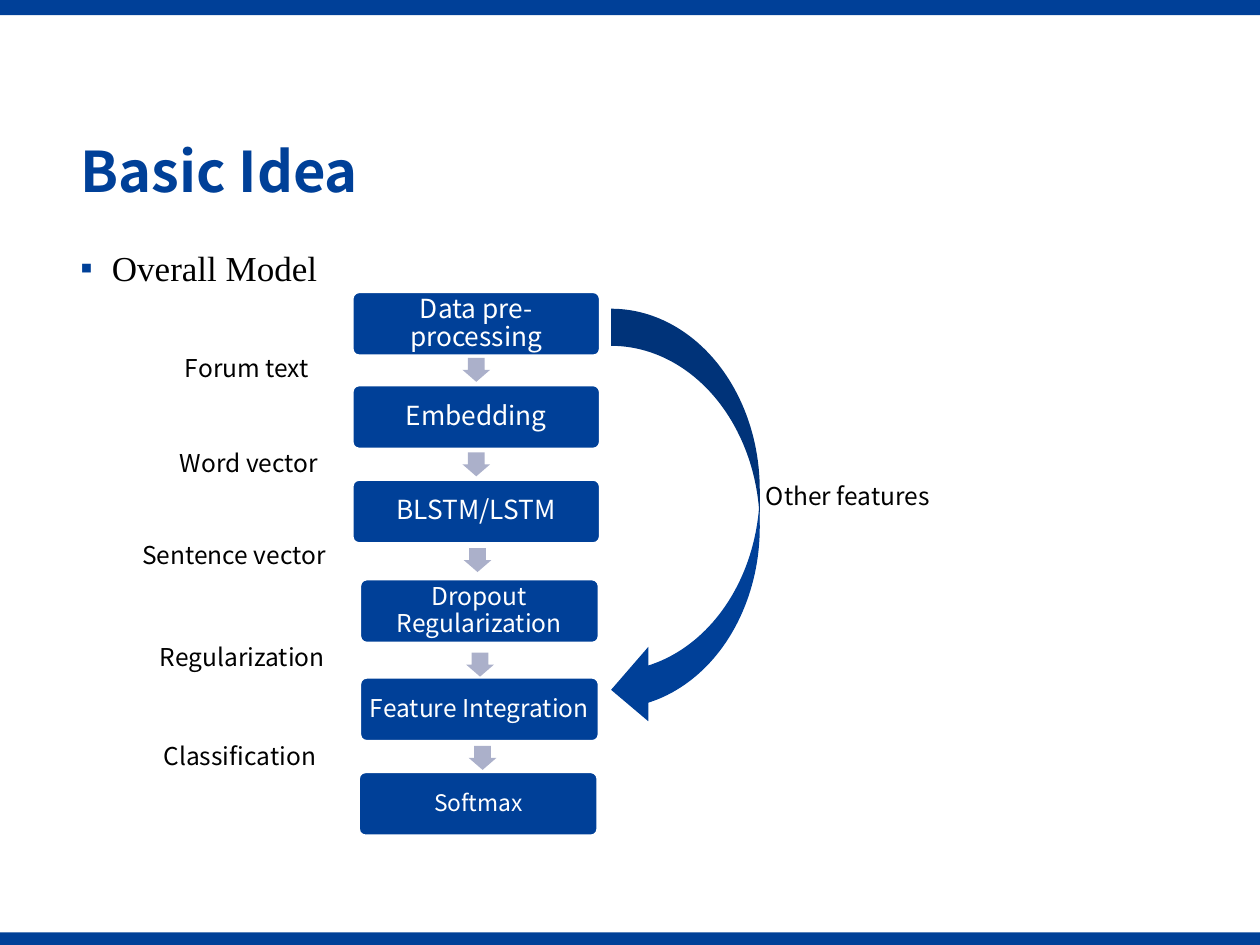
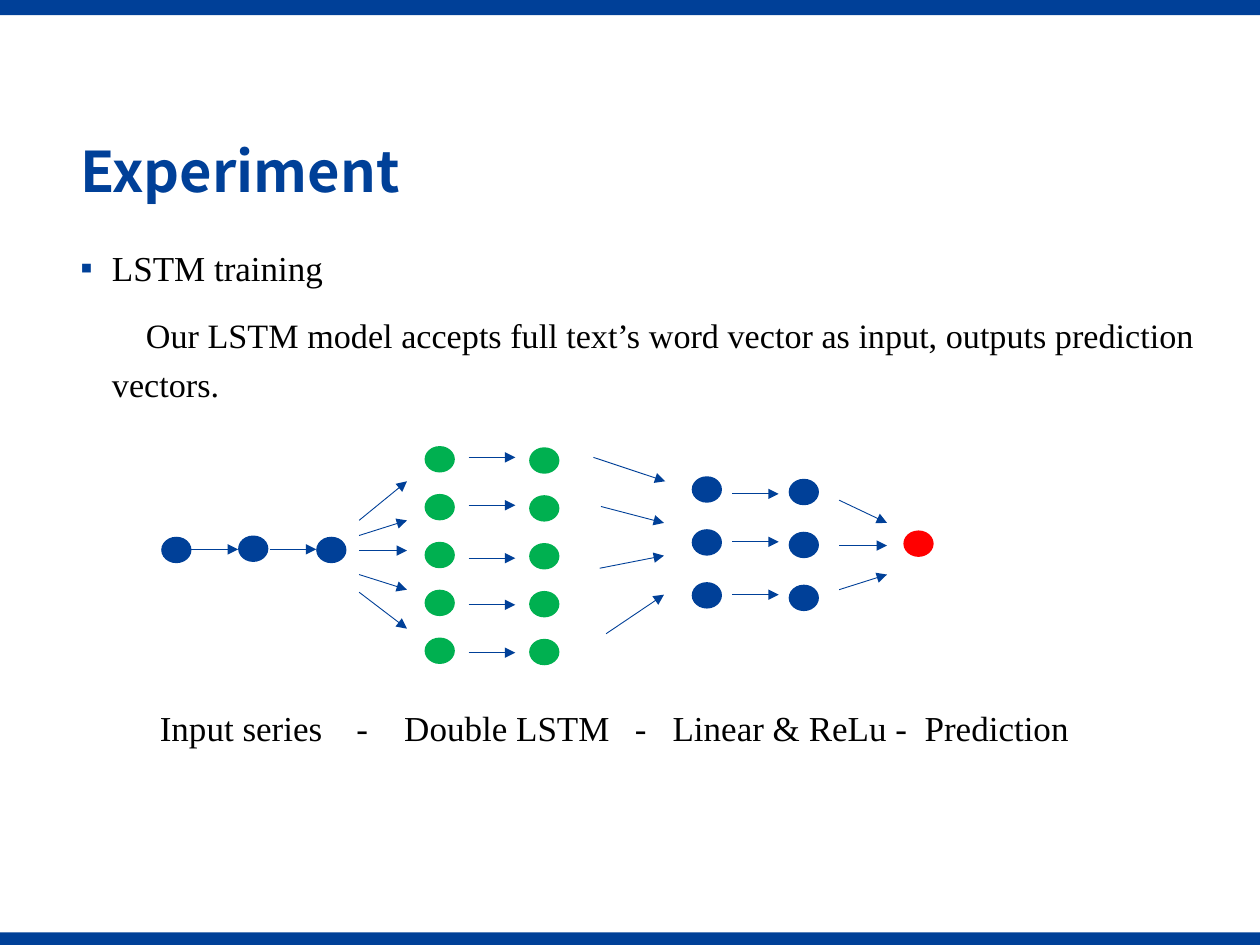
import pptx
import pptx.util
import pptx.dml.color
import pptx.enum.shapes
import pptx.enum.text
import pptx.oxml
import pptx.oxml.ns

RGBColor = pptx.dml.color.RGBColor
Shape = pptx.enum.shapes.MSO_SHAPE
Align = pptx.enum.text.PP_ALIGN
Anchor = pptx.enum.text.MSO_ANCHOR

BLUE = RGBColor(0x00, 0x40, 0x98)
GREEN = RGBColor(0x00, 0xB0, 0x50)
RED = RGBColor(0xFF, 0x00, 0x00)
GREY_BLUE = RGBColor(0xAB, 0xB0, 0xCA)
WHITE = RGBColor(0xFF, 0xFF, 0xFF)
BLACK = RGBColor(0x00, 0x00, 0x00)

SANS = "Noto Sans CJK SC"
SERIF = "Times New Roman"
COLUMNS, ROWS = 10, 7.5
NODE_WIDTH, NODE_HEIGHT = 0.24, 0.21
ARROW_LENGTH = 0.37


def append_xml(parent, tag, attributes="", content=""):
    namespace = pptx.oxml.ns.nsdecls("a")
    parent.append(pptx.oxml.parse_xml(f"<a:{tag} {namespace} {attributes}>{content}</a:{tag}>"))


class Deck:
    def __init__(self):
        self.presentation = pptx.Presentation()
        self.presentation.slide_width = pptx.util.Inches(10)
        self.presentation.slide_height = pptx.util.Inches(7.5)
        self.column = self.presentation.slide_width / COLUMNS
        self.row = self.presentation.slide_height / ROWS
        self.slide = None

    def place(self, left, top, width, height):
        return (round(left * self.column), round(top * self.row),
                round(width * self.column), round(height * self.row))

    def add_slide(self, title, heading):
        self.slide = self.presentation.slides.add_slide(self.presentation.slide_layouts[6])
        self.shape(Shape.RECTANGLE, 0, 7.4, COLUMNS, 0.1)
        self.shape(Shape.RECTANGLE, 0, 0, COLUMNS, 0.12)
        frame = self.text(title, 0.54, 1.07, 9.16, 0.63, 32, color=BLUE, bold=True)
        frame.vertical_anchor = Anchor.MIDDLE
        frame.paragraphs[0].line_spacing = 0.9
        return self.body(heading)

    def format(self, paragraph, size, font=SANS, color=BLACK, bold=False):
        for run in paragraph.runs:
            run.font.name = font
            run.font.size = pptx.util.Pt(size)
            run.font.color.rgb = color
            run.font.bold = bold

    def text(self, text, left, top, width, height, size, wrap=True, **style):
        frame = self.slide.shapes.add_textbox(*self.place(left, top, width, height)).text_frame
        frame.word_wrap = wrap
        frame.text = text
        self.format(frame.paragraphs[0], size, **style)
        return frame

    def body(self, heading):
        frame = self.text(heading, 0.54, 1.84, 9.16, 5.38, 20, font=SERIF)
        paragraph = frame.paragraphs[0]
        self.indent(paragraph, 0.25, -0.25)
        properties = paragraph._p.get_or_add_pPr()
        append_xml(properties, "buClr", content=f'<a:srgbClr val="{BLUE}"/>')
        append_xml(properties, "buFont", f'typeface="{SERIF}"')
        append_xml(properties, "buChar", 'char="▪"')
        paragraph.line_spacing = 1.2
        return frame

    def indent(self, paragraph, margin, first_line):
        properties = paragraph._p.get_or_add_pPr()
        properties.set("marL", str(round(margin * self.column)))
        properties.set("indent", str(round(first_line * self.column)))

    def body_paragraph(self, frame, text):
        paragraph = frame.add_paragraph()
        paragraph.text = text
        self.indent(paragraph, 0.25, 0.27)
        paragraph.line_spacing = 1.2
        paragraph.space_before = pptx.util.Pt(10)
        self.format(paragraph, 19.5, font=SERIF)

    def tabbed_text(self, parts, stops, left, top, width, height):
        frame = self.text("\t".join(parts), left, top, width, height, 20, font=SERIF)
        tabs = "".join(f'<a:tab pos="{round(stop * self.column)}" algn="l"/>' for stop in stops)
        append_xml(frame.paragraphs[0]._p.get_or_add_pPr(), "tabLst", content=tabs)

    def shape(self, kind, left, top, width, height, fill=BLUE, outline=None):
        shape = self.slide.shapes.add_shape(kind, *self.place(left, top, width, height))
        shape.shadow.inherit = False
        shape.fill.solid()
        shape.fill.fore_color.rgb = fill
        if outline is None:
            shape.line.fill.background()
        else:
            shape.line.color.rgb = outline
            shape.line.width = pptx.util.Pt(1)
        return shape

    def stage(self, text, left, top, width, size):
        shape = self.shape(Shape.ROUNDED_RECTANGLE, left, top, width, 0.5, outline=WHITE)
        shape.adjustments[0] = 0.1
        frame = shape.text_frame
        frame.margin_left = frame.margin_right = pptx.util.Inches(0.06)
        frame.margin_top = frame.margin_bottom = pptx.util.Inches(0.06)
        frame.vertical_anchor = Anchor.MIDDLE
        frame.word_wrap = True
        frame.text = text
        paragraph = frame.paragraphs[0]
        paragraph.alignment = Align.CENTER
        paragraph.line_spacing = 0.9
        self.format(paragraph, size, color=WHITE)

    def down_arrow(self, center, middle):
        shape = self.shape(Shape.DOWN_ARROW, center - 0.11, middle - 0.1, 0.22, 0.19, GREY_BLUE)
        shape.adjustments[0] = 0.6
        shape.adjustments[1] = 0.5

    def node_column(self, left, top, count=1, pitch=0, fill=BLUE):
        for index in range(count):
            self.shape(Shape.OVAL, left, top + index * pitch, NODE_WIDTH, NODE_HEIGHT, fill)

    def arrow(self, start_x, start_y, end_x, end_y):
        connector = self.slide.shapes.add_connector(
            pptx.enum.shapes.MSO_CONNECTOR.STRAIGHT,
            *self.place(start_x, start_y, end_x, end_y))
        connector.line.color.rgb = BLUE
        connector.line.width = pptx.util.Pt(0.5)
        append_xml(connector.line._get_or_add_ln(), "tailEnd", 'type="triangle"')
        append_xml(connector._element.spPr, "effectLst")

    def level_arrows(self, left, heights):
        for height in heights:
            self.arrow(left, height, left + ARROW_LENGTH, height)

    def fan(self, start_x, end_x, heights):
        for start_y, end_y in heights:
            self.arrow(start_x, start_y, end_x, end_y)


def build_basic_idea(deck):
    deck.add_slide("Basic Idea", "Overall Model")
    for stage in (
        ("Data pre-processing", 2.8, 2.32, 1.96, 15),
        ("Embedding", 2.8, 3.06, 1.96, 15),
        ("BLSTM/LSTM", 2.8, 3.81, 1.96, 15),
        ("Dropout Regularization", 2.86, 4.6, 1.89, 14),
        ("Feature Integration", 2.86, 5.38, 1.89, 14),
        ("Softmax", 2.85, 6.13, 1.89, 13),
    ):
        deck.stage(*stage)
    for center, middle in ((3.78, 2.94), (3.78, 3.69), (3.79, 4.45), (3.81, 5.28), (3.83, 6.02)):
        deck.down_arrow(center, middle)
    for label, left, top, width in (
        ("Forum text", 1.37, 2.75, 1.23),
        ("Word vector", 1.33, 3.51, 1.36),
        ("Sentence vector", 1.03, 4.24, 1.71),
        ("Regularization", 1.17, 5.05, 1.55),
        ("Classification", 1.2, 5.83, 1.43),
        ("Other features", 5.98, 3.77, 1.56),
    ):
        deck.text(label, left, top, width, 0.34, 14, wrap=False)
    deck.shape(Shape.CURVED_LEFT_ARROW, 4.85, 2.45, 1.18, 3.32)


def build_experiment(deck):
    body = deck.add_slide("Experiment", "LSTM training")
    deck.body_paragraph(body, "Our LSTM model accepts full text’s word vector as input, "
                              "outputs prediction vectors.")
    deck.tabbed_text(
        ("Input series", "-", "Double LSTM", "-", "Linear & ReLu -", "Prediction"),
        (1.56, 1.94, 3.77, 4.07, 6.07), 1.17, 5.56, 8, 0.42)

    for left, top in ((1.28, 4.26), (1.89, 4.25), (2.51, 4.26), (7.17, 4.21)):
        deck.node_column(left, top, fill=RED if left > 7 else BLUE)
    for left, top in ((3.37, 3.54), (4.2, 3.55)):
        deck.node_column(left, top, 5, 0.38, GREEN)
    for left, top in ((5.49, 3.78), (6.26, 3.8)):
        deck.node_column(left, top, 3, 0.42)

    for left in (1.52, 2.14):
        deck.level_arrows(left, (4.36,))
    deck.level_arrows(3.72, (3.63, 4.01, 4.43, 4.8, 5.18))
    deck.level_arrows(5.81, (3.92, 4.3, 4.72))
    deck.fan(2.85, 3.23, ((4.13, 3.82), (4.25, 4.13), (4.37, 4.37), (4.56, 4.68), (4.7, 4.99)))
    deck.fan(6.66, 7.04, ((3.97, 4.15), (4.33, 4.33), (4.68, 4.56)))
    for line in (
        (4.71, 3.63, 5.28, 3.82),
        (4.77, 4.02, 5.27, 4.15),
        (4.76, 4.51, 5.27, 4.41),
        (4.81, 5.03, 5.27, 4.72),
    ):
        deck.arrow(*line)


def main():
    deck = Deck()
    build_basic_idea(deck)
    build_experiment(deck)
    deck.presentation.save("out.pptx")


if __name__ == "__main__":
    main()
